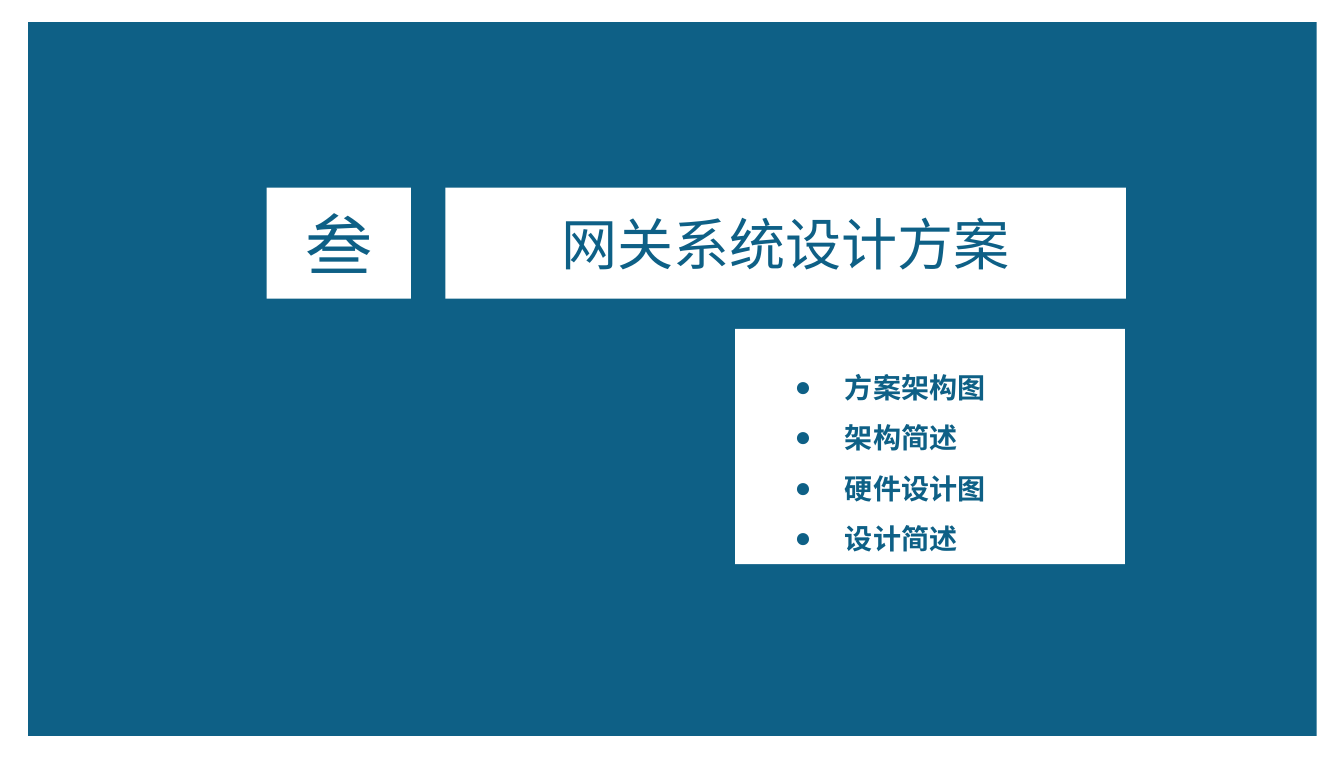
from lxml.etree import SubElement
from pptx import Presentation
from pptx.dml.color import RGBColor
from pptx.enum.shapes import MSO_SHAPE
from pptx.enum.text import MSO_ANCHOR, PP_ALIGN
from pptx.oxml.ns import qn
from pptx.util import Inches, Pt

BLUE = RGBColor(0x0E, 0x60, 0x86)
WHITE = RGBColor(0xFF, 0xFF, 0xFF)

prs = Presentation()
prs.slide_width = Inches(13.31)
prs.slide_height = Inches(7.5)
slide = prs.slides.add_slide(prs.slide_layouts[6])


def add_panel(left, top, width, height, color):
    panel = slide.shapes.add_shape(
        MSO_SHAPE.ROUNDED_RECTANGLE,
        Inches(left), Inches(top), Inches(width), Inches(height))
    panel.adjustments[0] = 0
    panel.shadow.inherit = False
    panel.fill.solid()
    panel.fill.fore_color.rgb = color
    panel.line.fill.background()
    panel.text_frame.word_wrap = False
    panel.text_frame.vertical_anchor = MSO_ANCHOR.MIDDLE
    return panel


def add_text(paragraph, text, size, font, bold=False):
    run = paragraph.add_run()
    run.text = text
    run.font.size = Pt(size)
    run.font.name = font
    run.font.bold = bold
    run.font.color.rgb = BLUE


# Blue backdrop
add_panel(0.28, 0.22, 12.76, 7.07, BLUE)

# Section number and title
for left, width, text, size in [(2.64, 1.43, "叁", 48),
                                (4.41, 6.74, "网关系统设计方案", 40)]:
    heading = add_panel(left, 1.86, width, 1.1, WHITE).text_frame.paragraphs[0]
    heading.alignment = PP_ALIGN.CENTER
    add_text(heading, text, size, "Arial")

# Section topics
topics = add_panel(7.28, 3.26, 3.86, 2.33, WHITE).text_frame
topics.margin_top = Inches(0.2)
for i, topic in enumerate(["方案架构图", "架构简述", "硬件设计图", "设计简述"]):
    item = topics.paragraphs[0] if i == 0 else topics.add_paragraph()
    item.alignment = PP_ALIGN.LEFT
    item.line_spacing = 1.5
    props = item._p.get_or_add_pPr()
    props.set("marL", str(Inches(0.99)))
    props.set("indent", str(Inches(-0.5)))
    SubElement(props, qn("a:buFont")).set("typeface", "Times New Roman")
    SubElement(props, qn("a:buChar")).set("char", "●")
    add_text(item, topic, 20, "Times New Roman", bold=True)

prs.save("out.pptx")
